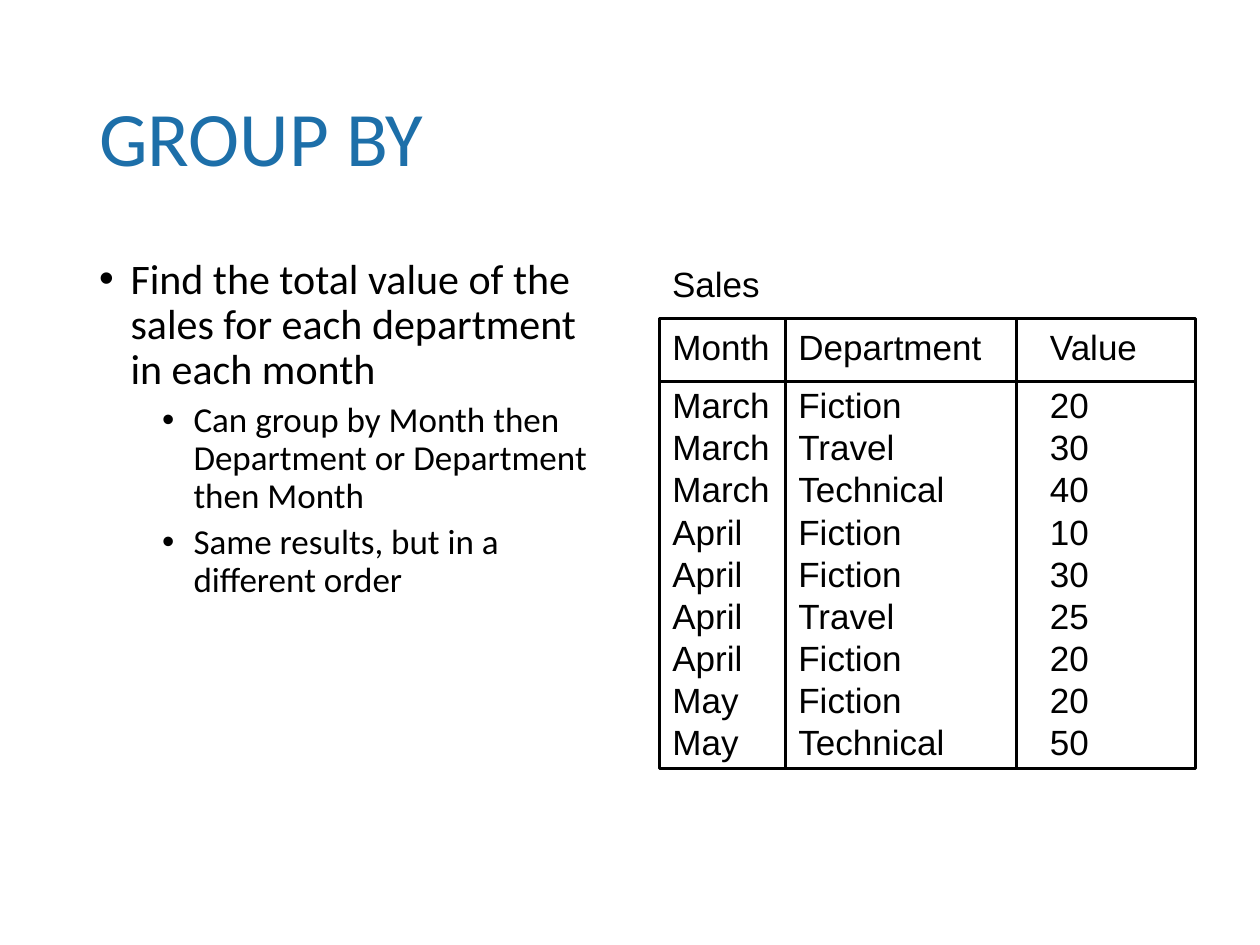
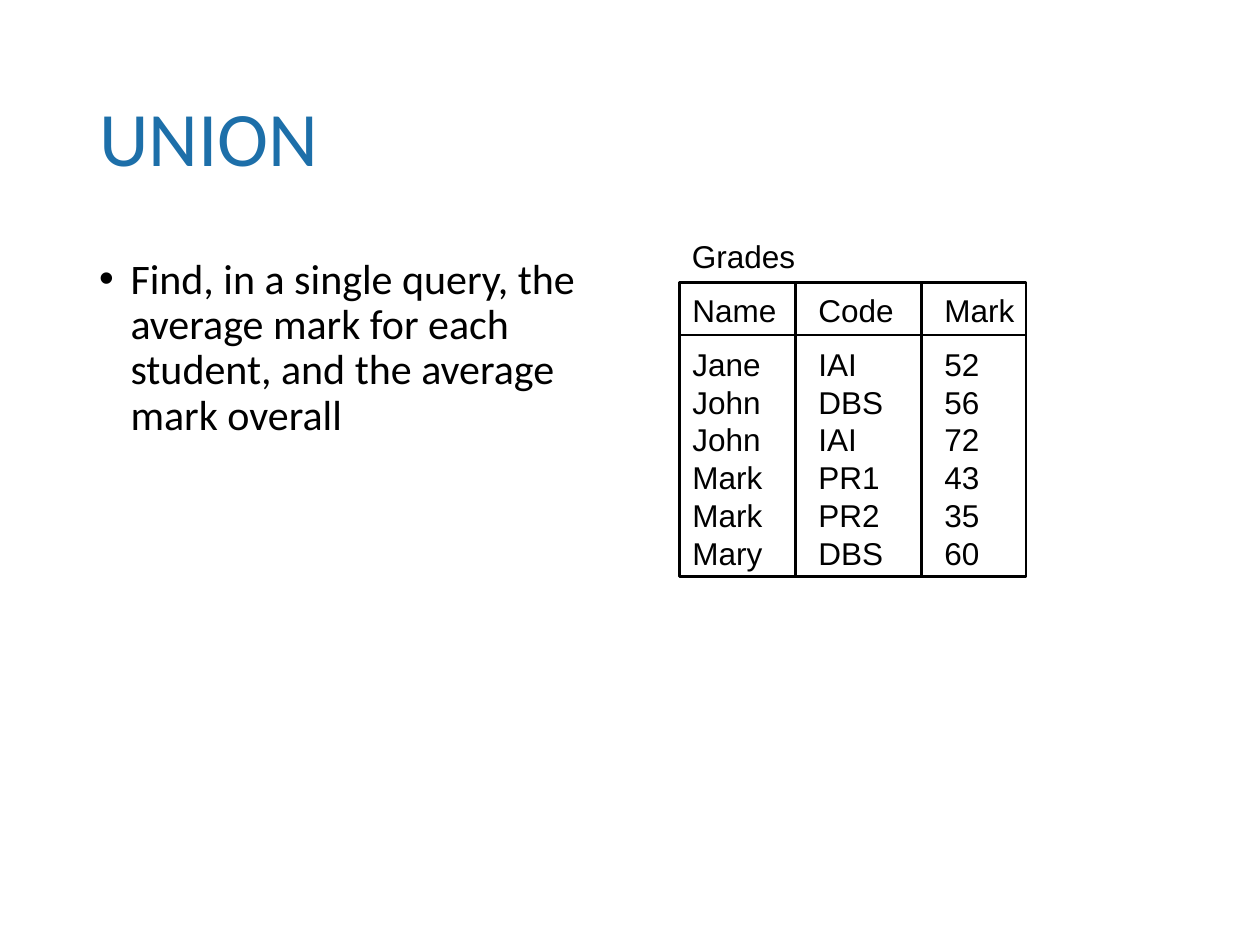
from dataclasses import dataclass
from itertools import accumulate

from lxml import etree
from pptx import Presentation
from pptx.dml.color import RGBColor
from pptx.enum.shapes import MSO_CONNECTOR, MSO_SHAPE
from pptx.enum.text import MSO_ANCHOR, MSO_AUTO_SIZE, PP_ALIGN
from pptx.oxml.ns import qn
from pptx.presentation import Presentation as Deck
from pptx.slide import Slide
from pptx.table import _Cell
from pptx.text.text import Font, TextFrame, _Paragraph
from pptx.util import Pt

LEFT = PP_ALIGN.LEFT
MIDDLE, BOTTOM = MSO_ANCHOR.MIDDLE, MSO_ANCHOR.BOTTOM
NO_AUTOFIT = MSO_AUTO_SIZE.NONE
RECTANGLE = MSO_SHAPE.RECTANGLE
STRAIGHT = MSO_CONNECTOR.STRAIGHT

BLACK = "000000"
TITLE_BLUE = "1D6FA9"
TEXT_FONT = "Calibri"
TABLE_FONT = "Arial"
TITLE_LAYOUT = 5
RULE_WIDTH = 1.5
LINE_SPACING = 0.9
TEXT_LEFT = 49.5


@dataclass(frozen=True)
class BulletStyle:
    size: float
    indent: float
    space_before: float


@dataclass(frozen=True)
class Bullet:
    text: str
    level: int = 0


@dataclass(frozen=True)
class Column:
    width: float
    text_inset: float


@dataclass(frozen=True)
class DataTable:
    caption: str
    caption_top: float
    left: float
    top: float
    height: float
    bottom_inset: float
    header_height: float
    header_bottom_margin: float
    row_height: float
    font_size: float
    columns: list[Column]
    rows: list[tuple[str, ...]]

    @property
    def width(self) -> float:
        return sum(column.width for column in self.columns)


@dataclass(frozen=True)
class Topic:
    title: str
    bullets: list[Bullet]
    table: DataTable


BULLET_STYLES = [BulletStyle(24, 18, 10), BulletStyle(20, 54, 5)]
HANGING = 18

SALES = DataTable(
    "Sales", 146.2, 377, 182, 257.2, 3, 36, 7.6, 24.1, 20,
    [Column(72, 7.2), Column(132, 7.2), Column(102.2, 19)],
    [
        ("Month", "Department", "Value"),
        ("March", "Fiction", "20"),
        ("March", "Travel", "30"),
        ("March", "Technical", "40"),
        ("April", "Fiction", "10"),
        ("April", "Fiction", "30"),
        ("April", "Travel", "25"),
        ("April", "Fiction", "20"),
        ("May", "Fiction", "20"),
        ("May", "Technical", "50"),
    ],
)

GRADES = DataTable(
    "Grades", 131.7, 388.3, 161.3, 168, 2.5, 30.2, 3.4, 21.6, 18,
    [Column(66.2, 7.4), Column(72, 13.2), Column(59.8, 13.2)],
    [
        ("Name", "Code", "Mark"),
        ("Jane", "IAI", "52"),
        ("John", "DBS", "56"),
        ("John", "IAI", "72"),
        ("Mark", "PR1", "43"),
        ("Mark", "PR2", "35"),
        ("Mary", "DBS", "60"),
    ],
)

TOPICS = [
    Topic(
        "GROUP BY",
        [
            Bullet("Find the total value of the sales for each department in each month"),
            Bullet("Can group by Month then Department or Department then Month", 1),
            Bullet("Same results, but in a different order", 1),
        ],
        SALES,
    ),
    Topic(
        "UNION",
        [Bullet("Find, in a single query, the average mark for each student, "
                "and the average mark overall")],
        GRADES,
    ),
]


def color(value: str) -> RGBColor:
    return RGBColor.from_string(value)


def style_font(font: Font, name: str, size: float, value: str) -> None:
    font.name = name
    font.size = Pt(size)
    font.color.rgb = color(value)


def add_text_box(slide: Slide, left: float, top: float,
                 width: float, height: float) -> TextFrame:
    shape = slide.shapes.add_textbox(Pt(left), Pt(top), Pt(width), Pt(height))
    shape.text_frame.word_wrap = True
    return shape.text_frame


def add_title(slide: Slide, text: str) -> None:
    title = slide.shapes.title
    title.left, title.top = Pt(TEXT_LEFT), Pt(28.8)
    title.width, title.height = Pt(621.4), Pt(104.4)
    frame = title.text_frame
    frame.text = text
    frame.auto_size = NO_AUTOFIT
    frame.vertical_anchor = MIDDLE
    paragraph = frame.paragraphs[0]
    paragraph.alignment = LEFT
    paragraph.line_spacing = LINE_SPACING
    style_font(paragraph.runs[0].font, TEXT_FONT, 44, TITLE_BLUE)


def set_bullet(paragraph: _Paragraph, indent: float) -> None:
    properties = paragraph._p.get_or_add_pPr()
    properties.set("marL", str(Pt(indent)))
    properties.set("indent", str(-Pt(HANGING)))
    bullet_color = etree.SubElement(properties, qn("a:buClr"))
    etree.SubElement(bullet_color, qn("a:srgbClr"), val=BLACK)
    etree.SubElement(properties, qn("a:buFont"), typeface="Arial")
    etree.SubElement(properties, qn("a:buChar"), char="•")


def add_bullets(slide: Slide, bullets: list[Bullet]) -> None:
    frame = add_text_box(slide, TEXT_LEFT, 143.8, 306, 342.7)
    for index, bullet in enumerate(bullets):
        paragraph = frame.add_paragraph() if index else frame.paragraphs[0]
        style = BULLET_STYLES[bullet.level]
        paragraph.text = bullet.text
        paragraph.level = bullet.level
        set_bullet(paragraph, style.indent)
        paragraph.line_spacing = LINE_SPACING
        if index:
            paragraph.space_before = Pt(style.space_before)
        style_font(paragraph.runs[0].font, TEXT_FONT, style.size, BLACK)


def add_rule(slide: Slide, start: tuple[float, float], end: tuple[float, float]) -> None:
    rule = slide.shapes.add_connector(STRAIGHT, *map(Pt, start + end))
    rule.line.color.rgb = color(BLACK)
    rule.line.width = Pt(RULE_WIDTH)
    etree.SubElement(rule._element.spPr, qn("a:effectLst"))


def add_frame_and_rules(slide: Slide, data: DataTable) -> None:
    frame = slide.shapes.add_shape(
        RECTANGLE, Pt(data.left), Pt(data.top), Pt(data.width), Pt(data.height))
    frame.shadow.inherit = False
    frame.fill.background()
    frame.line.color.rgb = color(BLACK)
    frame.line.width = Pt(RULE_WIDTH)

    header_bottom = data.top + data.header_height
    add_rule(slide, (data.left, header_bottom), (data.left + data.width, header_bottom))
    for offset in accumulate(column.width for column in data.columns[:-1]):
        x = data.left + offset
        add_rule(slide, (x, data.top), (x, data.top + data.height))


def clear_borders(cell: _Cell) -> None:
    properties = cell._tc.get_or_add_tcPr()
    for position, side in enumerate(("lnL", "lnR", "lnT", "lnB")):
        line = etree.Element(qn(f"a:{side}"))
        etree.SubElement(line, qn("a:noFill"))
        properties.insert(position, line)


def row_heights(data: DataTable) -> list[float]:
    """Give the first body row the space that the other rows leave."""
    later_rows = [data.row_height] * (len(data.rows) - 2)
    first_row = data.height - data.bottom_inset - data.header_height - sum(later_rows)
    return [data.header_height, first_row, *later_rows]


def fill_cell(cell: _Cell, text: str, data: DataTable,
              column: Column, bottom_margin: float) -> None:
    cell.text_frame.text = text
    cell.vertical_anchor = BOTTOM
    cell.margin_left = Pt(column.text_inset)
    cell.margin_right = cell.margin_top = Pt(0)
    cell.margin_bottom = Pt(bottom_margin)
    cell.fill.background()
    clear_borders(cell)
    style_font(cell.text_frame.paragraphs[0].runs[0].font,
               TABLE_FONT, data.font_size, BLACK)


def add_data_table(slide: Slide, data: DataTable) -> None:
    caption = add_text_box(slide, data.left, data.caption_top, 100, 31)
    caption.text = data.caption
    style_font(caption.paragraphs[0].runs[0].font, TABLE_FONT, data.font_size, BLACK)

    add_frame_and_rules(slide, data)
    table = slide.shapes.add_table(
        len(data.rows), len(data.columns), Pt(data.left), Pt(data.top),
        Pt(data.width), Pt(data.height - data.bottom_inset)).table
    table.first_row = table.horz_banding = False
    for table_column, column in zip(table.columns, data.columns):
        table_column.width = Pt(column.width)
    for table_row, height in zip(table.rows, row_heights(data)):
        table_row.height = Pt(height)
    for row_index, values in enumerate(data.rows):
        bottom_margin = 0 if row_index else data.header_bottom_margin
        for column_index, (text, column) in enumerate(zip(values, data.columns)):
            fill_cell(table.cell(row_index, column_index), text, data, column, bottom_margin)


def add_topic(presentation: Deck, topic: Topic) -> None:
    slide = presentation.slides.add_slide(presentation.slide_layouts[TITLE_LAYOUT])
    add_title(slide, topic.title)
    add_bullets(slide, topic.bullets)
    add_data_table(slide, topic.table)


def main() -> None:
    presentation = Presentation()
    presentation.slide_width, presentation.slide_height = Pt(720), Pt(540)
    for topic in TOPICS:
        add_topic(presentation, topic)
    presentation.save("out.pptx")


if __name__ == "__main__":
    main()
